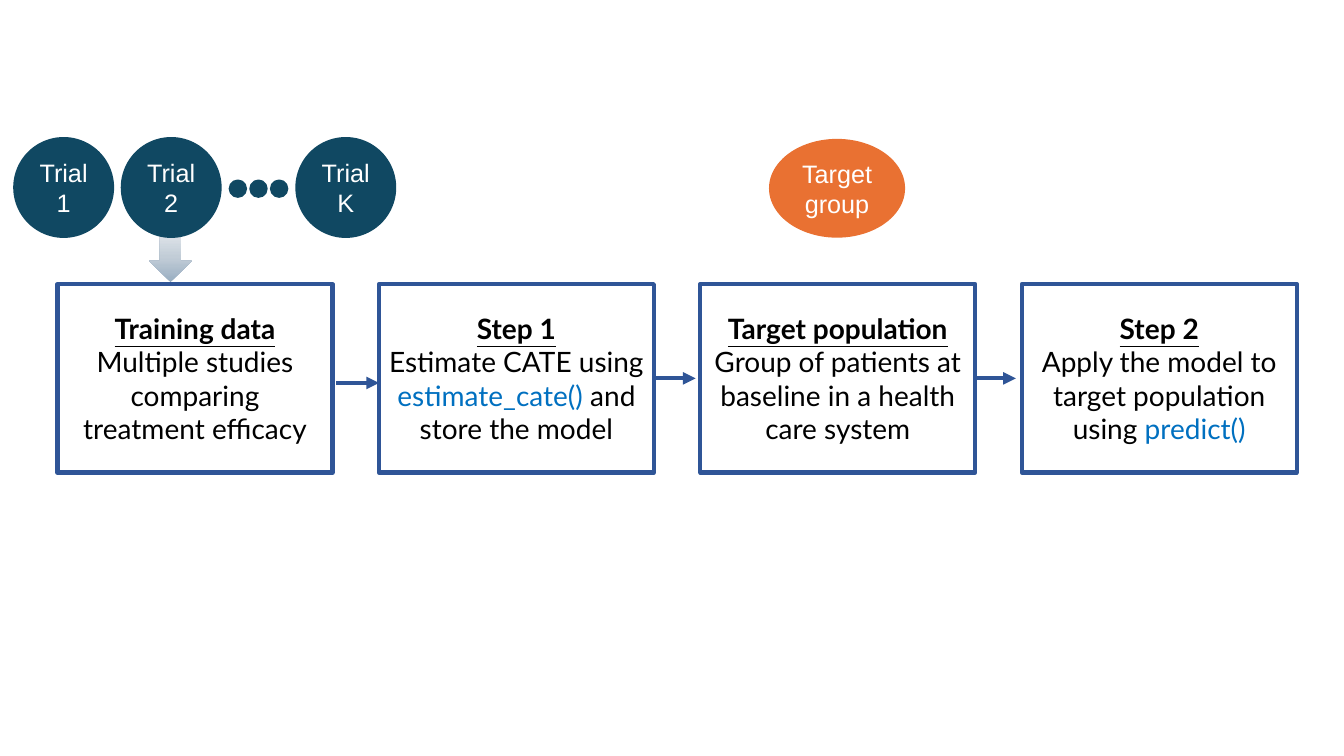
from copy import deepcopy
from dataclasses import dataclass
from typing import Optional

from lxml import etree
from pptx import Presentation
from pptx import util as u
from pptx.dml.color import RGBColor
from pptx.enum import shapes, text
from pptx.oxml.ns import qn

BLUE = RGBColor(0x2F, 0x55, 0x97)
CODE_BLUE = RGBColor(0x00, 0x70, 0xC0)
TEAL = RGBColor(0x10, 0x48, 0x62)
ORANGE = RGBColor(0xE9, 0x71, 0x32)
BLACK = RGBColor(0x00, 0x00, 0x00)
WHITE = RGBColor(0xFF, 0xFF, 0xFF)
ARROW_DARK = RGBColor(0x98, 0xAD, 0xC1)
ARROW_MIDDLE = RGBColor(0xC2, 0xCD, 0xD7)
ARROW_LIGHT = RGBColor(0xE1, 0xE6, 0xEB)

# Lengths in centimetres
BOX_LEFT, BOX_TOP, BOX_WIDTH, BOX_HEIGHT, BOX_PITCH = 1.45, 7.16, 6.93, 4.75, 8.1
BOX_MIDDLE = BOX_TOP + BOX_HEIGHT / 2
TRIAL_TOP, TRIAL_SIZE = 3.48, 2.49
DOT_LEFT, DOT_TOP, DOT_SIZE, DOT_PITCH = 5.79, 4.55, 0.41, 0.52


@dataclass(frozen=True)
class Stage:
    title: str
    before: str
    code: str = ""
    after: str = ""


@dataclass(frozen=True)
class Oval:
    left: float
    top: float
    width: float
    height: float
    fill: RGBColor
    line: Optional[RGBColor] = None
    label: str = ""


@dataclass(frozen=True)
class Link:
    start: float
    end: float
    y: float
    from_stage: Optional[int] = None


STAGES = [
    Stage("Training data", "Multiple studies comparing treatment efficacy"),
    Stage("Step 1", "Estimate CATE using ", "estimate_cate() ", "and store the model"),
    Stage("Target population", "Group of patients at baseline in a health care system"),
    Stage("Step 2", "Apply the model to target population using ", "predict()"),
]
LINKS = [
    Link(8.48, 9.55, 9.65),
    Link(16.48, 17.53, BOX_MIDDLE, from_stage=1),
    Link(24.58, 25.6, BOX_MIDDLE, from_stage=2),
]
TRIALS = [
    Oval(left, TRIAL_TOP, TRIAL_SIZE, TRIAL_SIZE, TEAL, TEAL, label)
    for left, label in [(0.36, "Trial 1"), (3.07, "Trial 2"), (7.47, "Trial K")]
]
DOTS = [
    Oval(DOT_LEFT + i * DOT_PITCH, DOT_TOP, DOT_SIZE, DOT_SIZE, TEAL, TEAL)
    for i in range(3)
]
TARGET = Oval(19.38, 3.5, 3.43, 2.49, ORANGE, label="Target group")


def add_span(para, words: str, *, font: str, size: float, color: RGBColor,
             bold: bool = False, underline: bool = False) -> None:
    para.alignment = text.PP_ALIGN.CENTER
    span = para.add_run()
    span.text = words
    span.font.name = font
    span.font.size = u.Pt(size)
    span.font.color.rgb = color
    span.font.bold = bold
    span.font.underline = underline


def add_plain_shape(page, kind, left: float, top: float, width: float, height: float):
    """Add a shape without shadow, with wrapped text centred vertically."""
    shape = page.shapes.add_shape(kind, u.Cm(left), u.Cm(top), u.Cm(width), u.Cm(height))
    shape.shadow.inherit = False
    shape.text_frame.word_wrap = True
    shape.text_frame.vertical_anchor = text.MSO_ANCHOR.MIDDLE
    return shape


def add_stage(page, index: int, stage: Stage):
    box = add_plain_shape(page, shapes.MSO_SHAPE.RECTANGLE,
                          BOX_LEFT + index * BOX_PITCH, BOX_TOP, BOX_WIDTH, BOX_HEIGHT)
    box.fill.background()
    box.line.color.rgb = BLUE
    box.line.width = u.Pt(3)
    add_span(box.text_frame.paragraphs[0], stage.title, font="Lato", size=20,
             color=BLACK, bold=True, underline=True)
    para = box.text_frame.add_paragraph()
    for words, color in [(stage.before, BLACK), (stage.code, CODE_BLUE), (stage.after, BLACK)]:
        if words:
            add_span(para, words, font="Lato", size=20, color=color)
    return box


def add_link(page, link: Link, boxes: list) -> None:
    arrow = page.shapes.add_connector(shapes.MSO_CONNECTOR.STRAIGHT, u.Cm(link.start),
                                      u.Cm(link.y), u.Cm(link.end), u.Cm(link.y))
    if link.from_stage is not None:
        arrow.begin_connect(boxes[link.from_stage], 3)
    arrow.line.color.rgb = BLUE
    arrow.line.width = u.Pt(3)
    properties = arrow.element.spPr
    etree.SubElement(properties.find(qn("a:ln")), qn("a:tailEnd"), type="triangle")
    etree.SubElement(properties, qn("a:effectLst"))


def add_oval(page, oval: Oval) -> None:
    shape = add_plain_shape(page, shapes.MSO_SHAPE.OVAL,
                            oval.left, oval.top, oval.width, oval.height)
    shape.fill.solid()
    shape.fill.fore_color.rgb = oval.fill
    if oval.line is None:
        shape.line.fill.background()
    else:
        shape.line.color.rgb = oval.line
        shape.line.width = u.Pt(1.5)
    if oval.label:
        add_span(shape.text_frame.paragraphs[0], oval.label, font="Arial", size=18, color=WHITE)


def add_down_arrow(page) -> None:
    """Add the arrow from the trials to the training data, darker at its tip."""
    arrow = add_plain_shape(page, shapes.MSO_SHAPE.DOWN_ARROW, 3.76, 5.84, 1.07, 1.27)
    arrow.line.fill.background()
    arrow.fill.gradient()
    arrow.fill.gradient_angle = 90
    stop_list = arrow.element.spPr.find(".//" + qn("a:gsLst"))
    stop_list.insert(1, deepcopy(stop_list[0]))
    colors = [ARROW_DARK, ARROW_MIDDLE, ARROW_LIGHT]
    for stop, color, position in zip(arrow.fill.gradient_stops, colors, (0, 0.5, 1)):
        stop.color.rgb = color
        stop.position = position


def main() -> None:
    deck = Presentation()
    deck.slide_width, deck.slide_height = u.Cm(33.87), u.Cm(19.05)
    page = deck.slides.add_slide(deck.slide_layouts[6])
    boxes = [add_stage(page, index, stage) for index, stage in enumerate(STAGES)]
    for link in LINKS:
        add_link(page, link, boxes)
    add_down_arrow(page)
    for oval in [*TRIALS, *DOTS, TARGET]:
        add_oval(page, oval)
    deck.save("out.pptx")


if __name__ == "__main__":
    main()
